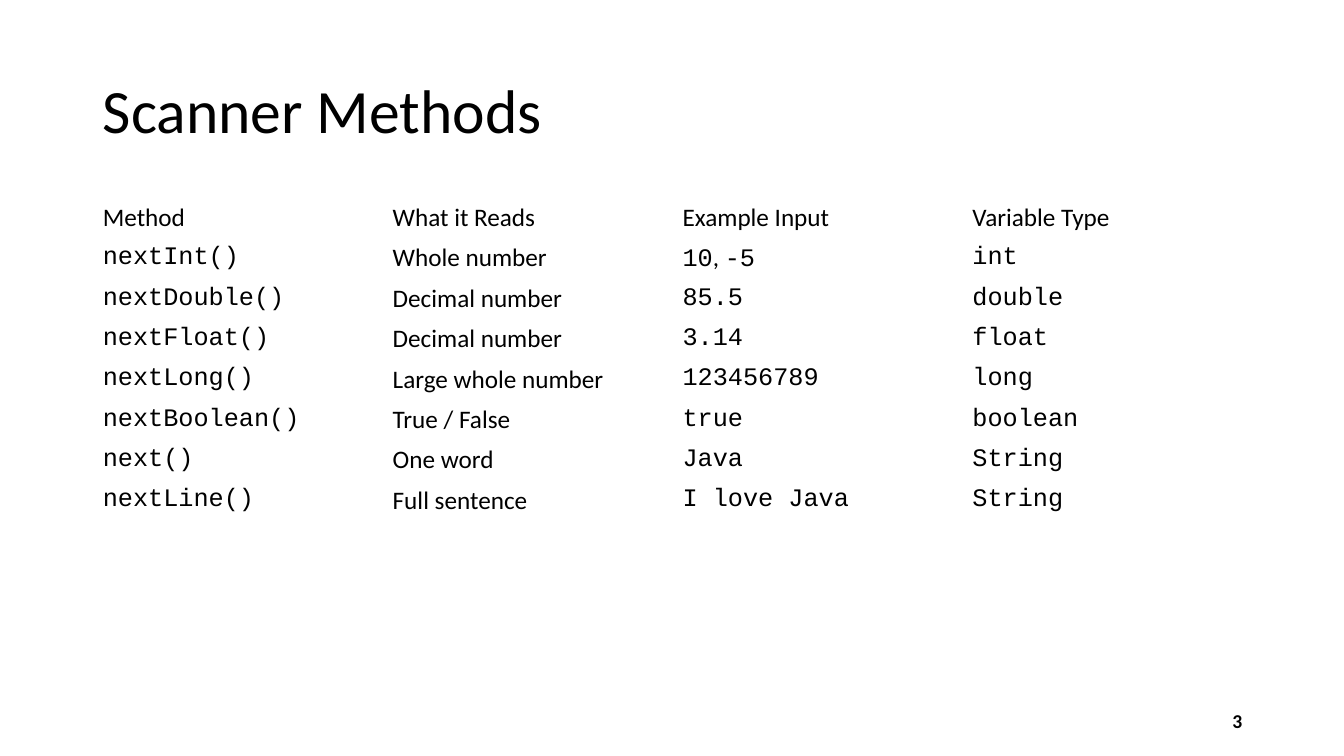
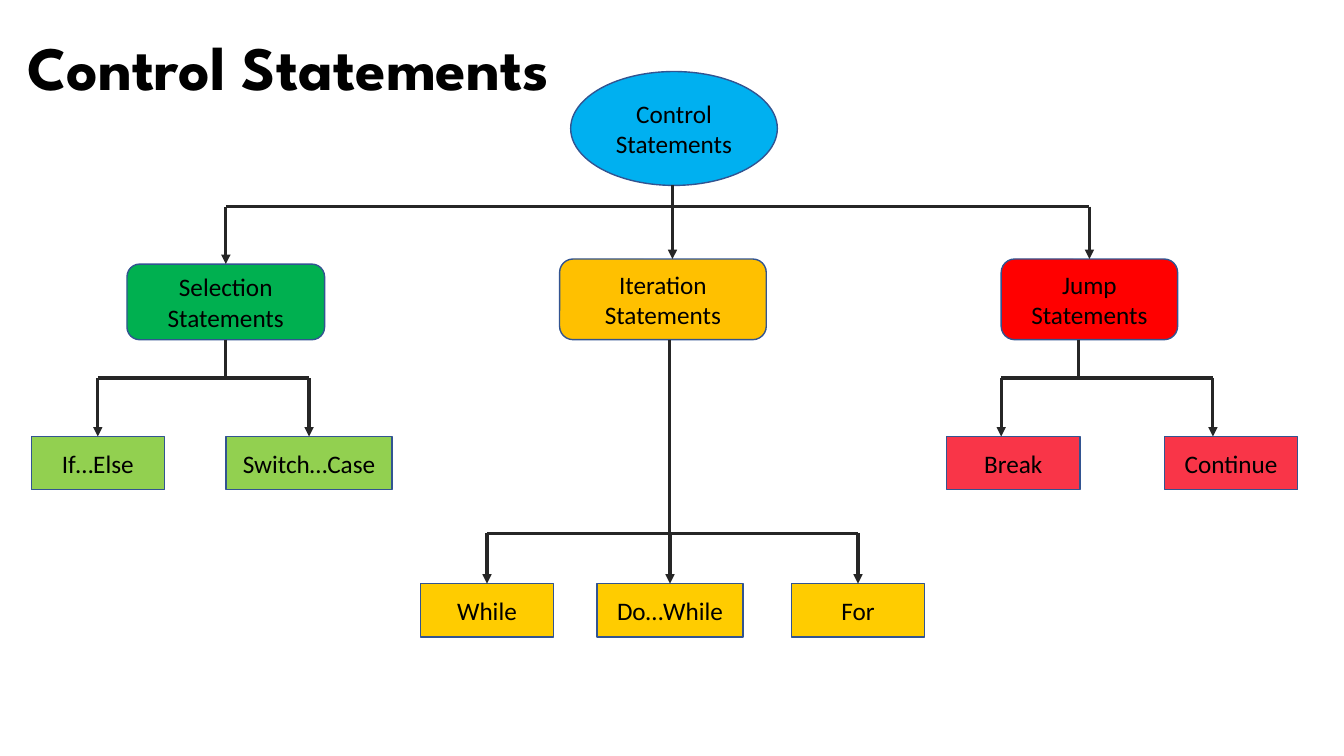
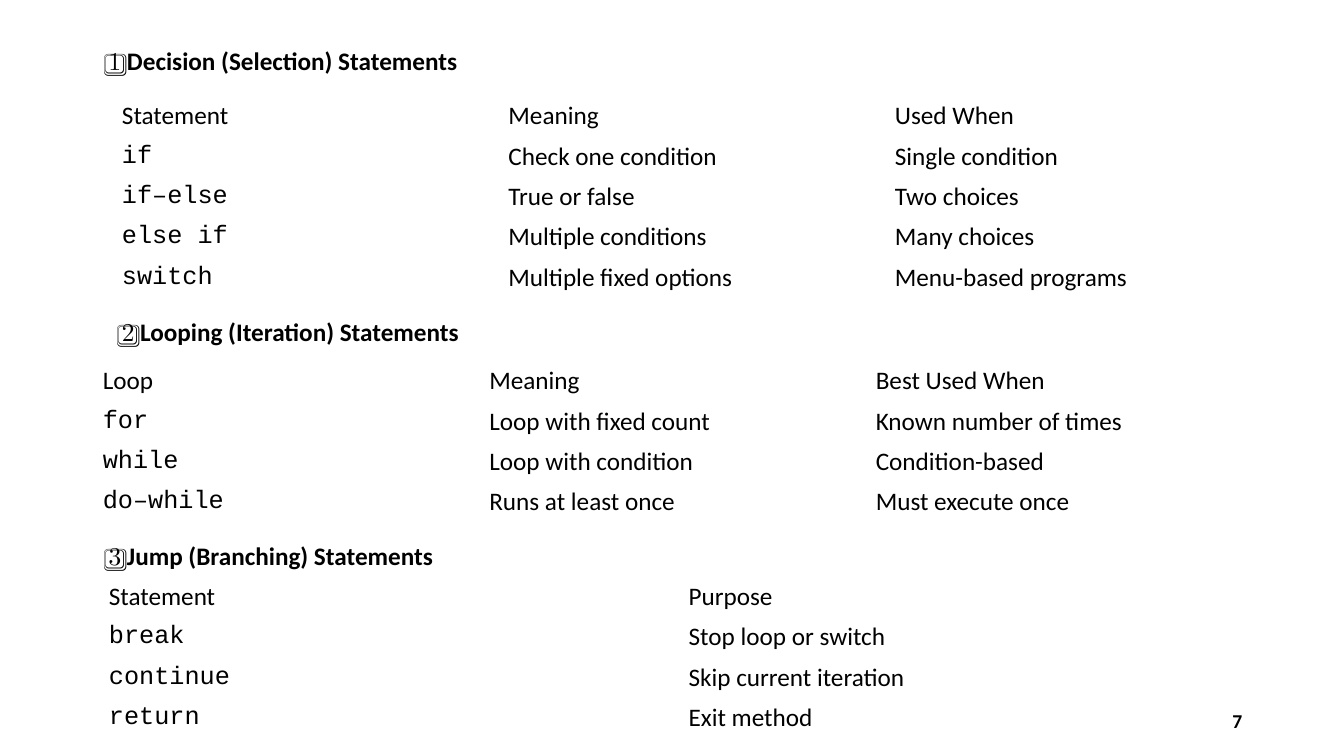
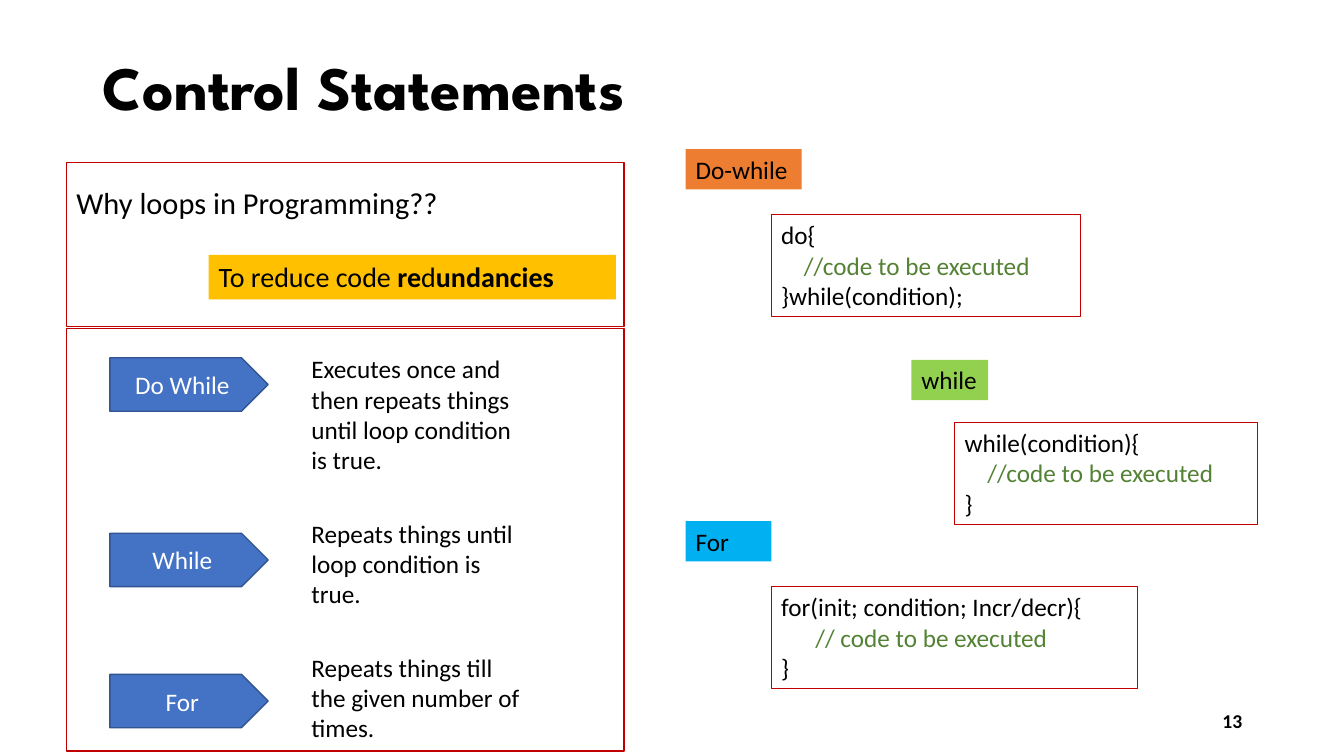
from lxml.etree import SubElement
from pptx import Presentation
from pptx.dml.color import RGBColor
from pptx.enum.shapes import MSO_CONNECTOR, MSO_SHAPE as SHAPE
from pptx.enum.text import MSO_ANCHOR as ANCHOR, MSO_AUTO_SIZE, PP_ALIGN as ALIGN
from pptx.oxml.ns import qn
from pptx.util import Inches, Pt

SANS, MONO, DISPLAY = "Calibri", "Courier New", "League Spartan"
BLACK, WHITE, GREY = "000000", "FFFFFF", "262626"
OUTLINE, RED_LINE, COMMENT = "325491", "C00000", "548235"
BLUE, SKY, ORANGE, AMBER = "4472C4", "00B0F0", "ED7D31", "FFC000"
GREEN, LIME, RED, ROSE, YELLOW = "00B050", "92D050", "FF0000", "F93548", "FFCC00"
TITLE_ONLY, BLANK = 5, 6
TOP, BOTTOM = 0, 2


def rgb(hex_color):
    return RGBColor.from_string(hex_color)


def style(font, size=18, color=BLACK, name=SANS, bold=False):
    font.name, font.size, font.bold = name, Pt(size), bold
    font.color.rgb = rgb(color)


def add_title(slide, left, top, text, name=DISPLAY, bold=True):
    sp = slide.shapes.title
    sp.left, sp.top = Inches(left), Inches(top)
    sp.width, sp.height = Inches(11.5), Inches(1.45)
    tf = sp.text_frame
    tf.text = text
    tf.auto_size = MSO_AUTO_SIZE.NONE
    tf.vertical_anchor = ANCHOR.MIDDLE
    p = tf.paragraphs[0]
    p.alignment, p.line_spacing = ALIGN.LEFT, 0.9
    style(p.font, 44, name=name, bold=bold)


def add_text(slide, box, text, size=18, bold=False, align=ALIGN.LEFT, anchor=ANCHOR.TOP):
    sp = slide.shapes.add_textbox(*map(Inches, box))
    tf = sp.text_frame
    tf.word_wrap = True
    tf.vertical_anchor = anchor
    p = tf.paragraphs[0]
    p.text, p.alignment = text, align
    style(p.font, size, bold=bold)
    return p


def add_page_number(slide, number):
    add_text(slide, (9.42, 6.95, 3, 0.4), str(number), 14, True, ALIGN.RIGHT, ANCHOR.MIDDLE)


def add_box(slide, box, kind=SHAPE.RECTANGLE, fill=None, line=None, width=1):
    sp = slide.shapes.add_shape(kind, *map(Inches, box))
    sp.shadow.inherit = False
    if fill:
        sp.fill.solid()
        sp.fill.fore_color.rgb = rgb(fill)
    else:
        sp.fill.background()
    if line:
        sp.line.color.rgb = rgb(line)
        sp.line.width = Pt(width)
    else:
        sp.line.fill.background()
    return sp


def add_node(slide, box, text, fill, kind=SHAPE.RECTANGLE, color=BLACK):
    sp = add_box(slide, box, kind, fill, OUTLINE)
    p = sp.text_frame.paragraphs[0]
    p.text, p.alignment = text, ALIGN.CENTER
    style(p.font, color=color)
    return sp


def add_tag(slide, box, runs, fill, size=18):
    """Filled label; runs are (text, bold) pairs."""
    tf = add_box(slide, box, fill=fill).text_frame
    tf.margin_right = 0
    tf.vertical_anchor = ANCHOR.TOP
    p = tf.paragraphs[0]
    p.alignment = ALIGN.LEFT
    for text, bold in runs:
        r = p.add_run()
        r.text = text
        style(r.font, size, bold=bold)


def add_code(slide, box, lines):
    tf = add_box(slide, box, line=RED_LINE, width=0.75).text_frame
    tf.vertical_anchor = ANCHOR.TOP
    for i, line in enumerate(lines):
        p = tf.add_paragraph() if i else tf.paragraphs[0]
        p.text, p.alignment = line, ALIGN.LEFT
        style(p.font, color=COMMENT if line.strip().startswith("//") else BLACK)


def add_grid(slide, left, top, rows, code_columns=(0,)):
    """Borderless table; code columns are monospaced below the header."""
    width, row_height = 11.5, 0.4
    count = len(rows[0])
    frame = slide.shapes.add_table(len(rows), count, Inches(left), Inches(top),
                                   Inches(width), Inches(row_height * len(rows)))
    table = frame.table
    table.first_row = table.horz_banding = False
    for column in table.columns:
        column.width = Inches(width / count)
    for i, row in enumerate(rows):
        table.rows[i].height = Inches(row_height)
        for j, text in enumerate(row):
            cell = table.cell(i, j)
            cell.fill.background()
            cell.vertical_anchor = ANCHOR.MIDDLE
            p = cell.text_frame.paragraphs[0]
            is_code = i > 0 and j in code_columns
            for part in filter(None, text.partition(", ")):
                r = p.add_run()
                r.text = part
                style(r.font, name=MONO if is_code and part != ", " else SANS)


def add_line(slide, x1, y1, x2, y2, arrow=False):
    line = slide.shapes.add_connector(MSO_CONNECTOR.STRAIGHT, x1, y1, x2, y2)
    line.line.color.rgb = rgb(GREY)
    line.line.width = Pt(2.25)
    if arrow:
        SubElement(line.line._ln, qn("a:tailEnd"), type="triangle")
    SubElement(line._element.spPr, qn("a:effectLst"))
    return line


def add_branch(slide, parent, children, bus_y, trunk_x=None, drop_xs=None):
    """Trunk, bus and arrows; an x of None means the middle of the box, joined to it."""
    bus_y = Inches(bus_y)

    def place(sp, x):
        return sp.left + sp.width // 2 if x is None else Inches(x)

    x, y = place(parent, trunk_x), parent.top + parent.height
    trunk = add_line(slide, x, y, x, bus_y)
    if trunk_x is None:
        trunk.begin_connect(parent, BOTTOM)
    drop_xs = drop_xs or [None] * len(children)
    xs = [place(sp, x) for sp, x in zip(children, drop_xs)]
    add_line(slide, xs[0], bus_y, xs[-1], bus_y)
    for sp, given, x in zip(children, drop_xs, xs):
        drop = add_line(slide, x, bus_y, x, sp.top, arrow=True)
        if given is None:
            drop.end_connect(sp, TOP)


def scanner_slide(slide):
    add_title(slide, 0.92, 0.4, "Scanner Methods", SANS, False)
    add_page_number(slide, 3)
    add_grid(slide, 0.92, 1.96, [
        ("Method", "What it Reads", "Example Input", "Variable Type"),
        ("nextInt()", "Whole number", "10, -5", "int"),
        ("nextDouble()", "Decimal number", "85.5", "double"),
        ("nextFloat()", "Decimal number", "3.14", "float"),
        ("nextLong()", "Large whole number", "123456789", "long"),
        ("nextBoolean()", "True / False", "true", "boolean"),
        ("next()", "One word", "Java", "String"),
        ("nextLine()", "Full sentence", "I love Java", "String"),
    ], code_columns=(0, 2, 3))


def tree_slide(slide):
    add_title(slide, 0.17, -0.02, "Control Statements")
    root = add_node(slide, (5.66, 0.71, 2.05, 1.13), "Control Statements", SKY, SHAPE.OVAL)
    groups = [add_node(slide, box, f"{word} Statements", fill, SHAPE.ROUNDED_RECTANGLE)
              for word, box, fill in (
                  ("Selection", (1.26, 2.62, 1.96, 0.75), GREEN),
                  ("Iteration", (5.55, 2.57, 2.05, 0.8), AMBER),
                  ("Jump", (9.93, 2.57, 1.75, 0.8), RED))]
    selection, iteration, jump = groups

    def add_leaves(top, fill, *leaves):
        return [add_node(slide, (left, top, width, 0.53), text, fill)
                for text, left, width in leaves]

    choices = add_leaves(4.33, LIME, ("If…Else", 0.31, 1.32), ("Switch…Case", 2.24, 1.65))
    loops = add_leaves(5.79, YELLOW, ("While", 4.17, 1.32), ("Do…While", 5.92, 1.45),
                       ("For", 7.85, 1.32))
    jumps = add_leaves(4.33, ROSE, ("Break", 9.39, 1.32), ("Continue", 11.55, 1.32))

    add_branch(slide, root, groups, 2.05, 6.67, (None, 6.67, None))
    add_branch(slide, selection, choices, 3.75)
    add_branch(slide, jump, jumps, 3.75, 10.7, (9.93, 12.03))
    add_branch(slide, iteration, loops, 5.29, 6.64)


def summary_slide(slide):
    sections = (
        ("1️⃣ Decision (Selection) Statements", (0.98, 0.4), (1.11, 0.95), [
            ("Statement", "Meaning", "Used When"),
            ("if", "Check one condition", "Single condition"),
            ("if–else", "True or false", "Two choices"),
            ("else if", "Multiple conditions", "Many choices"),
            ("switch", "Multiple fixed options", "Menu-based programs")]),
        ("2️⃣ Looping (Iteration) Statements", (1.11, 3.09), (0.92, 3.58), [
            ("Loop", "Meaning", "Best Used When"),
            ("for", "Loop with fixed count", "Known number of times"),
            ("while", "Loop with condition", "Condition-based"),
            ("do–while", "Runs at least once", "Must execute once")]),
        ("3️⃣ Jump (Branching) Statements", (0.98, 5.31), (0.98, 5.72), [
            ("Statement", "Purpose"),
            ("break", "Stop loop or switch"),
            ("continue", "Skip current iteration"),
            ("return", "Exit method")]),
    )
    for heading, heading_at, grid_at, rows in sections:
        add_text(slide, (*heading_at, 6.67, 0.4), heading, bold=True)
        add_grid(slide, *grid_at, rows)
    add_page_number(slide, 7)


def add_reasons(slide, left, top):
    """Two outlined panels: why loops are used, and what each loop does."""
    add_box(slide, (left, top, 5.53, 1.63), line=RED_LINE)
    add_box(slide, (left, top + 1.65, 5.53, 4.19), line=RED_LINE)
    question = add_text(slide, (left, top + 0.27, 4, 0.58), "Why loops in Programming??", 21.7)
    question.line_spacing = 0.7
    add_tag(slide, (left + 1.41, top + 0.92, 4.04, 0.44),
            [("To reduce code ", False), ("re", True), ("d", False), ("undancies", True)],
            AMBER, 20)
    for name, arrow_y, text_y, height, text in (
            ("Do While", 1.94, 1.85, 1.31,
             "Executes once and then repeats things until loop condition is true."),
            ("While", 3.68, 3.48, 1.01, "Repeats things until loop condition is true."),
            ("For", 5.08, 4.81, 1.01, "Repeats things till the given number of times.")):
        add_node(slide, (left + 0.43, top + arrow_y, 1.57, 0.53), name, BLUE,
                 SHAPE.PENTAGON, WHITE)
        add_text(slide, (left + 2.33, top + text_y, 2.28, height), text)


def add_example(slide, left, top, name, width, fill, code_offset, code_width, lines):
    """Loop name with its code below and to the right."""
    dx, dy = code_offset
    add_tag(slide, (left, top, width, 0.4), [(name, False)], fill)
    add_code(slide, (left + dx, top + dy, code_width, 1.01), lines)


def loops_slide(slide):
    add_title(slide, 0.92, 0.17, "Control Statements")
    add_page_number(slide, 13)
    add_reasons(slide, 0.66, 1.61)
    add_example(slide, 6.8, 1.48, "Do-while", 1.15, ORANGE, (0.85, 0.65), 3.07,
                ("do{", "    //code to be executed", "}while(condition);"))
    add_example(slide, 9.04, 3.57, "while", 0.76, LIME, (0.43, 0.62), 3,
                ("while(condition){", "    //code to be executed", "}"))
    add_example(slide, 6.8, 5.17, "For", 0.85, SKY, (0.85, 0.65), 3.63,
                ("for(init; condition; Incr/decr){", "      // code to be executed", "}"))


def main():
    prs = Presentation()
    prs.slide_width, prs.slide_height = Inches(13.33), Inches(7.5)
    for build, layout in ((scanner_slide, TITLE_ONLY), (tree_slide, TITLE_ONLY),
                          (summary_slide, BLANK), (loops_slide, TITLE_ONLY)):
        build(prs.slides.add_slide(prs.slide_layouts[layout]))
    prs.save("out.pptx")


if __name__ == "__main__":
    main()
